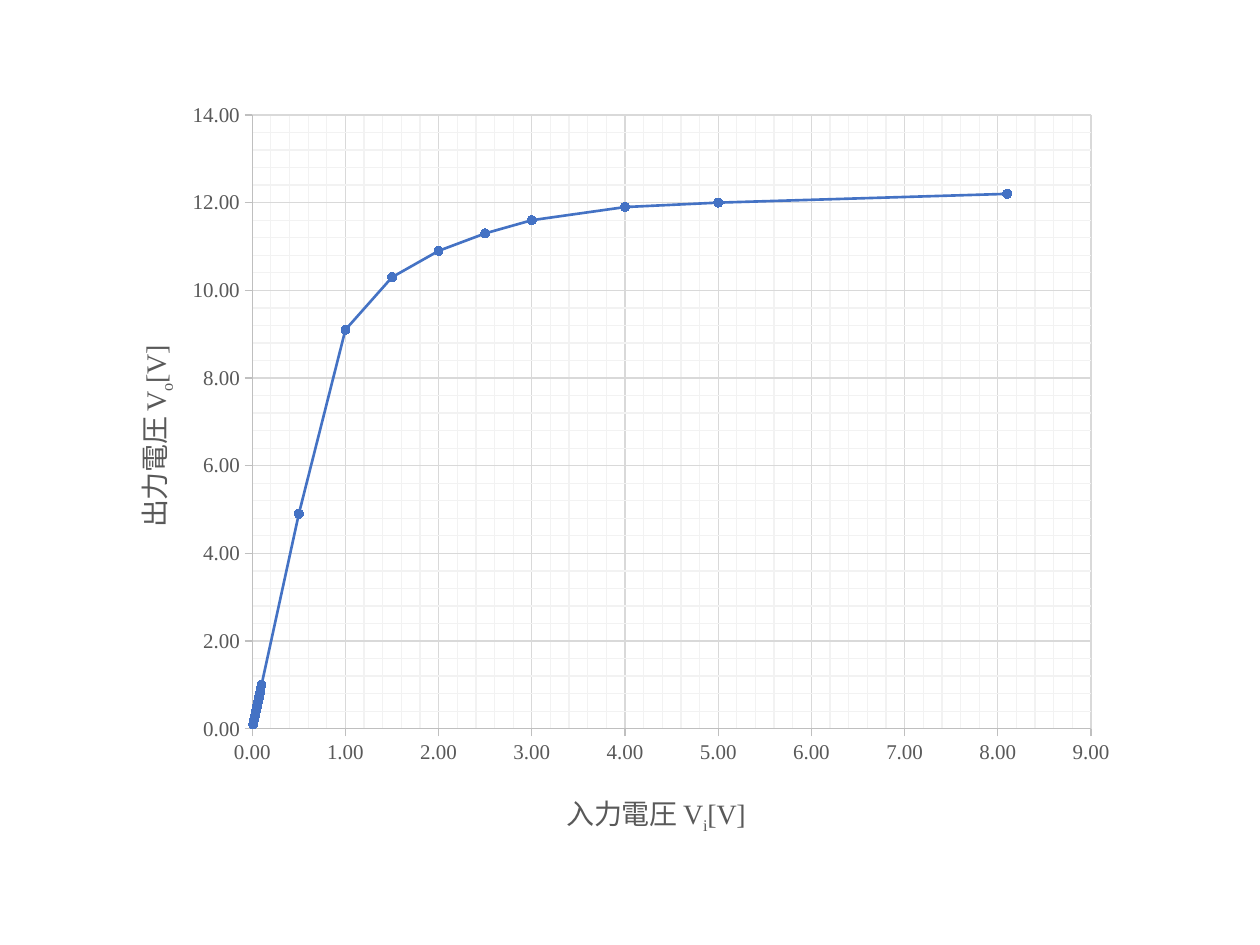
from lxml import etree
from pptx import Presentation
from pptx import util as u
from pptx.chart.data import XyChartData
from pptx.dml.color import RGBColor
from pptx.enum import chart as ch
from pptx.oxml.ns import qn

BLUE = RGBColor(0x44, 0x72, 0xC4)
TEXT = RGBColor(0x59, 0x59, 0x59)
AXIS = RGBColor(0xBF, 0xBF, 0xBF)
MAJOR = RGBColor(0xD9, 0xD9, 0xD9)
MINOR = RGBColor(0xF2, 0xF2, 0xF2)
FONT = "Times New Roman"

# Measured points: ten small inputs in equal steps, then the wide range
SMALL = [(n / 100, n / 10) for n in range(1, 11)]
WIDE = [(0.5, 4.9), (1, 9.1), (1.5, 10.3), (2, 10.9), (2.5, 11.3),
        (3, 11.6), (4, 11.9), (5, 12), (8.1, 12.2)]


def style_font(font, size, color=TEXT):
    font.name, font.size, font.bold = FONT, u.Pt(size), False
    font.color.rgb = color


def add_text(paragraph, words, size=16, baseline=None):
    run = paragraph.add_run()
    run.text = words
    style_font(run.font, size)
    if baseline:
        run._r.get_or_add_rPr().set("baseline", str(baseline))


def place(parent, index, inner=False, **fractions):
    """Fix a chart part at fractions of the chart's width and height."""
    layout = parent.find(qn("c:layout"))
    if layout is None:
        layout = etree.Element(qn("c:layout"))
        parent.insert(index, layout)
    manual = etree.SubElement(layout, qn("c:manualLayout"))
    settings = {"layoutTarget": "inner"} if inner else {}
    settings.update(xMode="edge", yMode="edge", **fractions)
    for tag, value in settings.items():
        etree.SubElement(manual, qn("c:" + tag)).set("val", str(value))


class ChartSlide:
    def __init__(self, deck):
        self.slide = deck.slides.add_slide(deck.slide_layouts[6])

    def line(self, line, color, width=0.75):
        line.color.rgb = color
        line.width = u.Pt(width)

    def scatter(self, points, left, top, width, height):
        data = XyChartData()
        series = data.add_series("Series 1")
        for x, y in points:
            series.add_data_point(x, y)
        frame = self.slide.shapes.add_chart(
            ch.XL_CHART_TYPE.XY_SCATTER_LINES,
            u.Pt(left), u.Pt(top), u.Pt(width), u.Pt(height), data)
        chart = frame.chart
        chart.has_legend = chart.has_title = False
        style_font(chart.font, 10, RGBColor(0, 0, 0))
        chart.plots[0].vary_by_categories = False
        curve = chart.plots[0].series[0]
        curve.smooth = False
        self.line(curve.format.line, BLUE, 1.5)
        curve.marker.style = ch.XL_MARKER_STYLE.CIRCLE
        curve.marker.size = 5
        curve.marker.format.fill.solid()
        curve.marker.format.fill.fore_color.rgb = BLUE
        self.line(curve.marker.format.line, BLUE)
        return chart

    def axis(self, axis, maximum, step, minor_step):
        axis.minimum_scale, axis.maximum_scale = 0, maximum
        axis.major_unit, axis.minor_unit = step, minor_step
        axis.has_major_gridlines = axis.has_minor_gridlines = True
        self.line(axis.major_gridlines.format.line, MAJOR)
        minor = axis._element.find(qn("c:minorGridlines"))
        self.line(type(axis.major_gridlines)(axis._element).format.line, MAJOR)
        minor.append(self.outline(MINOR))
        axis.major_tick_mark = ch.XL_TICK_MARK.OUTSIDE
        axis.minor_tick_mark = ch.XL_TICK_MARK.NONE
        self.line(axis.format.line, AXIS)
        style_font(axis.tick_labels.font, 12)
        axis.tick_labels.number_format = "0.00"
        axis.tick_labels.number_format_is_linked = False

    def outline(self, color):
        properties = etree.Element(qn("c:spPr"))
        line = etree.SubElement(properties, qn("a:ln"), w=str(u.Pt(0.75)))
        fill = etree.SubElement(line, qn("a:solidFill"))
        etree.SubElement(fill, qn("a:srgbClr"), val=str(color))
        return properties

    def axis_title(self, axis, quantity, subscript, x, y, upright=False):
        frame = axis.axis_title.text_frame
        paragraph = frame.paragraphs[0]
        add_text(paragraph, quantity + " V")
        add_text(paragraph, subscript, baseline=-25000)
        add_text(paragraph, "[V]")
        if upright:
            body = frame._txBody.find(qn("a:bodyPr"))
            body.set("rot", "-5400000")
            body.set("vert", "horz")
        place(axis.axis_title._element, 1, x=x, y=y)


deck = Presentation()
deck.slide_width, deck.slide_height = u.Pt(720), u.Pt(540)
page = ChartSlide(deck)

# Curve and plot area
chart = page.scatter(SMALL + WIDE, 55.4, 50.4, 591.8, 438.5)
plot_area = chart._chartSpace.chart.plotArea
place(plot_area, 0, inner=True, x=0.15, y=0.035, w=0.81, h=0.8)

# Axes and their titles
page.axis(chart.category_axis, 9, 1, 0.2)
page.axis(chart.value_axis, 14, 2, 0.4)
page.axis_title(chart.category_axis, "入力電圧", "i", 0.45, 0.91)
page.axis_title(chart.value_axis, "出力電圧", "o", 0.03, 0.33, upright=True)

deck.save("out.pptx")
